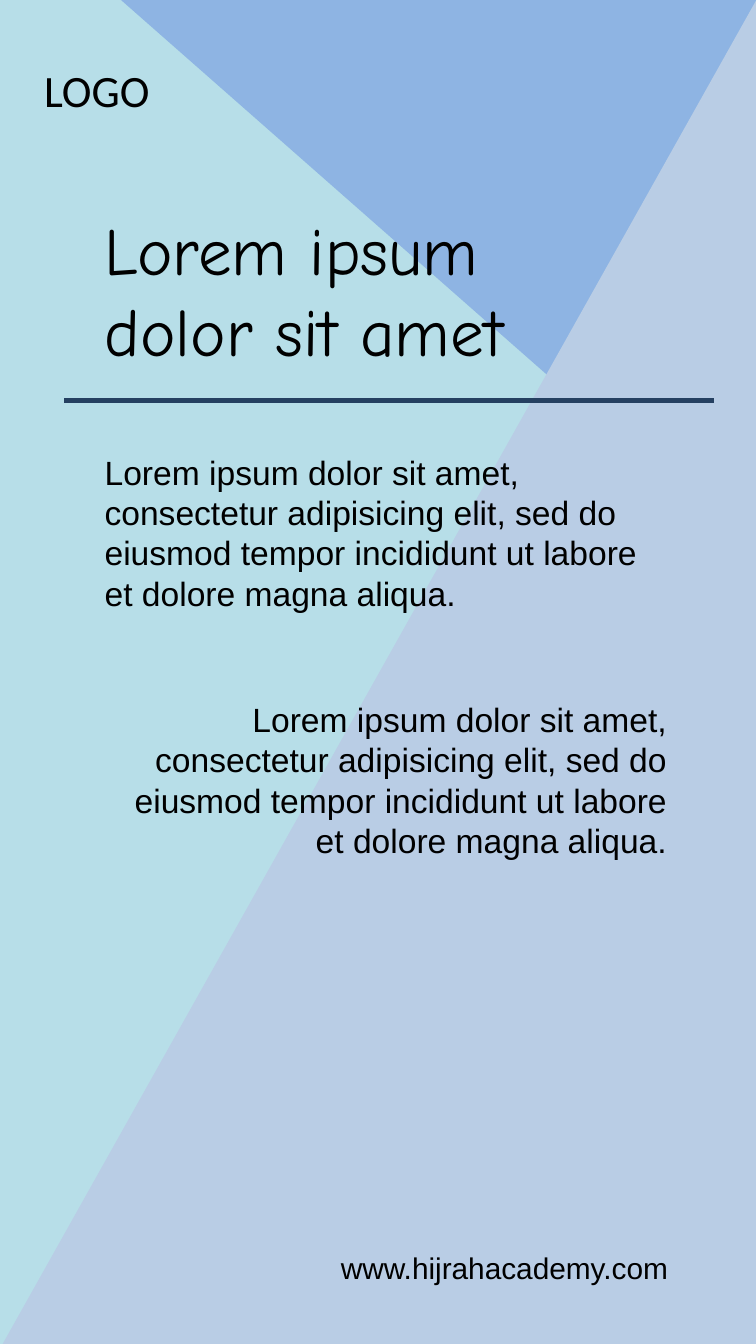
from lxml.etree import SubElement
from pptx import Presentation
from pptx.dml.color import RGBColor
from pptx.enum.shapes import MSO_CONNECTOR, MSO_SHAPE
from pptx.enum.text import MSO_ANCHOR, MSO_AUTO_SIZE, PP_ALIGN
from pptx.oxml.ns import qn
from pptx.util import Inches, Pt

HIGH = 10
WIDE = HIGH * 9 / 16
LEFT, RIGHT = PP_ALIGN.LEFT, PP_ALIGN.RIGHT
BODY = ("Lorem ipsum dolor sit amet, consectetur adipisicing elit, sed do "
        "eiusmod tempor incididunt ut labore et dolore magna aliqua.")
TITLE = ("Lorem ipsum dolor sit amet", (0.68, 1.5, 3.21, 1.31), 36, "Comic Neue", LEFT)
TEXTS = [
    ("LOGO", (0.23, 0.42, 1, 0.5), 24, "Calibri", LEFT),
    (BODY, (0.68, 3.31, 4.29, 1.31), 18, "Arial", LEFT),
    (BODY, (0.77, 5.15, 4.29, 1.31), 18, "Arial", RIGHT),
    ("www.hijrahacademy.com", (1.65, 9.25, 3.42, 0.37), 16, "Arial", RIGHT),
]
PANELS = [
    ((1.18, -0.29, 4.17, 4.74), 270, "8EB4E3"),
    ((0.02, -0.03, WIDE, 10.03), 0, "B9CDE5"),
]
RULE = (0.48, 2.98, 5.31, 2.98)


def paint(fill, color):
    fill.solid()
    fill.fore_color.rgb = RGBColor.from_string(color)


def write(shape, text, box, size, face, align):
    shape.left, shape.top, shape.width, shape.height = map(Inches, box)
    frame = shape.text_frame
    frame.text = text
    frame.word_wrap = True
    frame.auto_size = MSO_AUTO_SIZE.SHAPE_TO_FIT_TEXT
    frame.vertical_anchor = MSO_ANCHOR.TOP
    para = frame.paragraphs[0]
    para.alignment = align
    font = para.runs[0].font
    font.size, font.name = Pt(size), face
    paint(font.fill, "000000")


deck = Presentation()
deck.slide_width, deck.slide_height = Inches(WIDE), Inches(HIGH)
slide = deck.slides.add_slide(deck.slide_layouts[5])
paint(slide.background.fill, "B7DEE8")
shapes = slide.shapes

for box, turn, color in PANELS:
    panel = shapes.add_shape(MSO_SHAPE.ISOSCELES_TRIANGLE, *map(Inches, box))
    panel.adjustments[0] = 1
    panel.rotation = turn
    panel.shadow.inherit = False
    paint(panel.fill, color)
    panel.line.fill.background()

title = shapes.title
write(title, *TITLE)
shapes.element.append(title.element)

for item in TEXTS:
    write(shapes.add_textbox(0, 0, 0, 0), *item)

rule = shapes.add_connector(MSO_CONNECTOR.STRAIGHT, *map(Inches, RULE))
paint(rule.line.fill, "254061")
rule.line.width = Pt(3)
SubElement(rule.element.spPr, qn("a:effectLst"))

deck.save("out.pptx")
